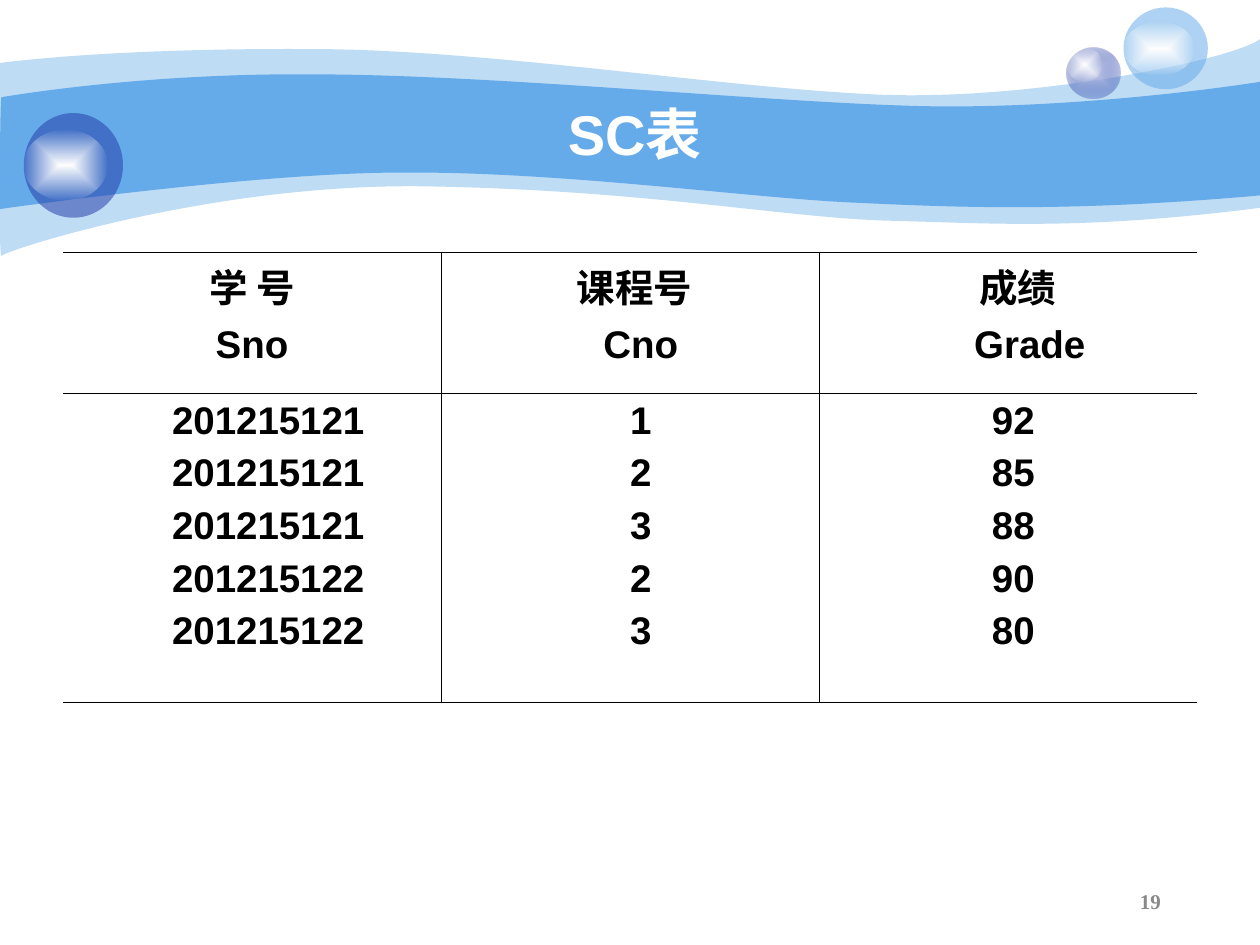
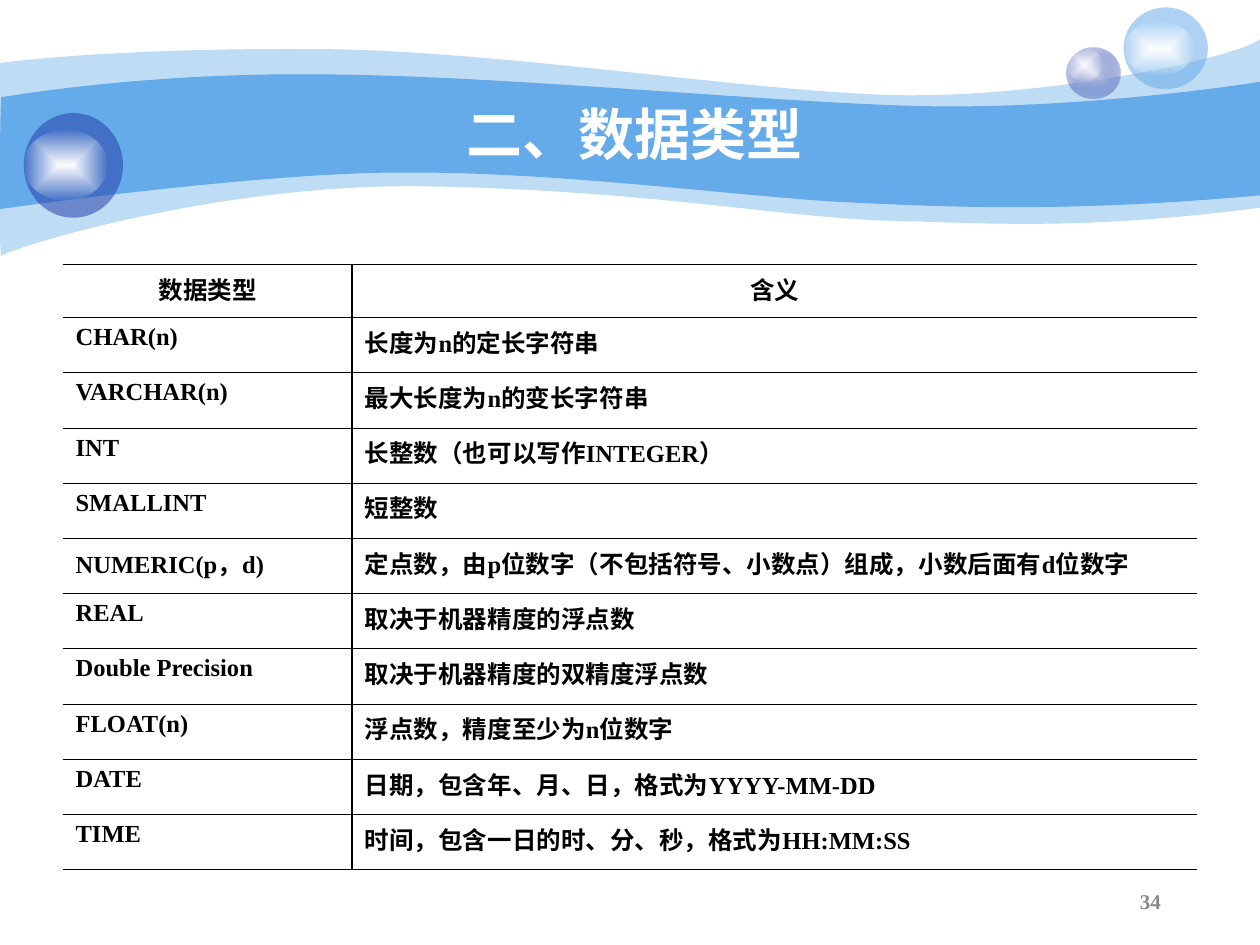
from lxml import etree
from pptx import Presentation
from pptx.dml.color import RGBColor
from pptx.enum.shapes import MSO_SHAPE
from pptx.enum.text import MSO_ANCHOR, PP_ALIGN
from pptx.oxml.ns import qn
from pptx.util import Cm, Pt

OVAL = MSO_SHAPE.OVAL
MIDDLE = MSO_ANCHOR.MIDDLE
LEFT, CENTER, RIGHT = PP_ALIGN.LEFT, PP_ALIGN.CENTER, PP_ALIGN.RIGHT

SKY = RGBColor(0x65, 0xAA, 0xE9)
NAVY = RGBColor(0x23, 0x3D, 0xA9)
LAVENDER = RGBColor(0xC7, 0xCE, 0xE9)
WHITE = RGBColor(0xFF, 0xFF, 0xFF)
BLACK = RGBColor(0x00, 0x00, 0x00)
GREY = RGBColor(0x89, 0x89, 0x89)

SANS, SERIF = "Arial", "Times New Roman"
SLIDE_WIDTH, SLIDE_HEIGHT = Cm(25.4), Cm(19.05)
TITLE_BOX = (Cm(2.54), Cm(1.9), Cm(20.52), Cm(1.57))
NUMBER_BOX = (Cm(17.93), Cm(17.65), Cm(5.72), Cm(1.02))
THIN, THICK = Pt(0.45), Pt(1.08)
SHIFT = Cm(0.22)

PALE_WAVE = [
    (0, 1.27),
    (0.61, 1.19, 2.72, 0.97, 6.27, 0.99),
    (9.8, 0.99, 14.61, 1.78, 17.75, 1.91),
    (20.88, 2.03, 24.89, 1.19, 25.4, 0.79),
    (25.4, 4.19),
    (21.79, 4.65, 19.99, 4.5, 17.91, 4.45),
    (15.8, 4.39, 13.08, 3.84, 8.71, 3.76),
    (4.37, 3.66, 0.1, 5.05, 0.03, 5.16),
    (-0.03, 5.28, 0, 1.91, 0, 1.27),
]
DEEP_WAVE = [
    (0.03, 1.96),
    (0.05, 1.96, 2.79, 1.47, 6.3, 1.5),
    (9.8, 1.5, 15.11, 2.03, 18.24, 2.13),
    (21.36, 2.24, 24.79, 1.75, 25.4, 1.65),
    (25.4, 3.94),
    (21.67, 4.27, 19.43, 4.19, 17.32, 4.09),
    (15.21, 4.01, 11.35, 3.45, 8.05, 3.48),
    (5.16, 3.48, -0.05, 4.22, -0.03, 4.22),
    (0, 4.22, 0, 1.96, 0.03, 1.96),
]

GRADE_HEADS = [
    [("学 号", 0), ("Sno", 0)],
    [(" 课程号", 0), (" Cno", 1)],
    [(" 成绩", 1), (" Grade", 3)],
]
GRADES = [
    ("201215121", "1", "92"),
    ("201215121", "2", "85"),
    ("201215121", "3", "88"),
    ("201215122", "2", "90"),
    ("201215122", "3", "80"),
]
GRADE_SHIFTS = (2, 1, 0)

DATA_TYPES = [
    ("数据类型", "含义"),
    ("CHAR(n)", "长度为n的定长字符串"),
    ("VARCHAR(n)", "最大长度为n的变长字符串"),
    ("INT", "长整数（也可以写作INTEGER）"),
    ("SMALLINT", "短整数"),
    ("NUMERIC(p，d)", "定点数，由p位数字（不包括符号、小数点）组成，小数后面有d位数字"),
    ("REAL", "取决于机器精度的浮点数"),
    ("Double Precision", "取决于机器精度的双精度浮点数"),
    ("FLOAT(n)", "浮点数，精度至少为n位数字"),
    ("DATE", "日期，包含年、月、日，格式为YYYY-MM-DD"),
    ("TIME", "时间，包含一日的时、分、秒，格式为HH:MM:SS"),
]


def add_color(parent, color, opacity=100):
    tint = etree.SubElement(parent, qn("a:srgbClr"), val=str(color))
    if opacity < 100:
        etree.SubElement(tint, qn("a:alpha"), val=str(opacity * 1000))


def strip_style(shape):
    shape.shadow.inherit = False
    shape.line.fill.background()


def fill_flat(shape, color, opacity=100):
    strip_style(shape)
    shape.fill.solid()
    solid = shape.fill._xPr.find(qn("a:solidFill"))
    for child in list(solid):
        solid.remove(child)
    add_color(solid, color, opacity)


def fill_glow(shape, inner, outer, outer_opacity):
    strip_style(shape)
    shape.fill.gradient()
    glow = shape.fill._xPr.find(qn("a:gradFill"))
    for child in list(glow):
        glow.remove(child)
    stops = etree.SubElement(glow, qn("a:gsLst"))
    for position, color, opacity in ((0, inner, 100), (100000, outer, outer_opacity)):
        stop = etree.SubElement(stops, qn("a:gs"), pos=str(position))
        add_color(stop, color, opacity)
    spread = etree.SubElement(glow, qn("a:path"), path="rect")
    etree.SubElement(spread, qn("a:fillToRect"), l="50000", t="50000", r="50000", b="50000")


def bend(wave, segments):
    steps = iter(list(wave._element.iter(qn("a:lnTo"))))
    for segment in segments[1:]:
        first = next(steps)
        if len(segment) == 2:
            continue
        curve = etree.Element(qn("a:cubicBezTo"))
        first.addprevious(curve)
        for step in (first, next(steps), next(steps)):
            curve.append(step[0])
            step.getparent().remove(step)


def add_wave(slide, left, top, segments, opacity):
    points = [(left + Cm(segment[i]), top + Cm(segment[i + 1]))
              for segment in segments for i in range(0, len(segment), 2)]
    builder = slide.shapes.build_freeform(*points[0])
    builder.add_line_segments(points[1:], close=True)
    wave = builder.convert_to_shape()
    bend(wave, segments)
    fill_flat(wave, SKY, opacity)


def add_bubble(slide, left, top, size, shine_drop, shine_size):
    parts = slide.shapes.add_group_shape().shapes
    bubble = parts.add_shape(OVAL, left, top, *size)
    shine = parts.add_shape(OVAL, left, top + shine_drop, *shine_size)
    fill_glow(shine, WHITE, WHITE, 0)
    return bubble


def add_banner(slide, left, top):
    add_wave(slide, left, top, PALE_WAVE, 41)
    add_wave(slide, left, top, DEEP_WAVE, 100)
    small = add_bubble(slide, left + Cm(21.51), top + Cm(0.96),
                       (Cm(1.07), Cm(1.02)), 0, (Cm(0.71), Cm(0.69)))
    fill_glow(small, LAVENDER, NAVY, 31)
    pale = add_bubble(slide, left + Cm(22.65), top + Cm(0.15),
                      (Cm(1.7), Cm(1.65)), Cm(0.28), (Cm(1.42), Cm(1.09)))
    fill_flat(pale, SKY, 53)
    dark = add_bubble(slide, left + Cm(0.48), top + Cm(2.28),
                      (Cm(2), Cm(2.11)), Cm(0.34), (Cm(1.68), Cm(1.42)))
    fill_flat(dark, NAVY, 53)


def write(paragraph, text, font_name, size, color, align):
    paragraph.alignment = align
    run = paragraph.add_run()
    run.text = text
    run.font.name = font_name
    run.font.size = Pt(size)
    run.font.bold = True
    run.font.color.rgb = color


def add_label(slide, box, text, font_name, size, color, align):
    frame = slide.shapes.add_textbox(*box).text_frame
    frame.word_wrap = True
    frame.vertical_anchor = MIDDLE
    write(frame.paragraphs[0], text, font_name, size, color, align)


def set_indent(paragraph, margin, first_line=0):
    properties = paragraph._p.get_or_add_pPr()
    properties.set("marL", str(margin))
    properties.set("indent", str(first_line))


def rule_cell(cell, sides):
    properties = cell._tc.get_or_add_tcPr()
    for side, width in zip("LRTB", sides):
        line = etree.SubElement(properties, qn(f"a:ln{side}"), w=str(width))
        if width:
            add_color(etree.SubElement(line, qn("a:solidFill")), BLACK)
        else:
            etree.SubElement(line, qn("a:noFill"))
    cell.fill.background()


def add_ruled_table(slide, left, top, widths, heights, divider):
    table = slide.shapes.add_table(len(heights), len(widths), left, top,
                                   sum(widths), sum(heights)).table
    table.first_row = False
    table.horz_banding = False
    for column, width in zip(table.columns, widths):
        column.width = width
    for row, height in zip(table.rows, heights):
        row.height = height
        for i, cell in enumerate(row.cells):
            before = divider if i else 0
            after = divider if i < len(widths) - 1 else 0
            rule_cell(cell, (before, after, THIN, THIN))
    return table


def write_stack(cell, entries):
    frame = cell.text_frame
    for i, (text, shifts) in enumerate(entries):
        paragraph = frame.add_paragraph() if i else frame.paragraphs[0]
        if i:
            paragraph.space_before = Pt(5.5)
        set_indent(paragraph, shifts * SHIFT)
        write(paragraph, text, SANS, 22, BLACK, CENTER)


def add_grade_table(slide, left, top):
    table = add_ruled_table(slide, left, top, [Cm(7.62)] * 3, [Cm(2.84), Cm(6.24)], THIN)
    for i, (head, values, shifts) in enumerate(zip(GRADE_HEADS, zip(*GRADES), GRADE_SHIFTS)):
        write_stack(table.cell(0, i), head)
        write_stack(table.cell(1, i), [(f" {value}", shifts) for value in values])


def add_type_table(slide, left, top):
    entries = len(DATA_TYPES) - 1
    heights = [Cm(1.07)] + [Cm(11.13) // entries] * entries
    table = add_ruled_table(slide, left, top, [Cm(5.83), Cm(17.03)], heights, THICK)
    for r, entry in enumerate(DATA_TYPES):
        for c, text in enumerate(entry):
            paragraph = table.cell(r, c).text_frame.paragraphs[0]
            set_indent(paragraph, Cm(0.97), Cm(-0.97))
            write(paragraph, text, SERIF, 14, BLACK, LEFT if r else CENTER)


def add_page(deck, title, number):
    slide = deck.slides.add_slide(deck.slide_layouts[6])
    add_banner(slide, 0, 0)
    add_label(slide, TITLE_BOX, title, SANS, 32, WHITE, CENTER)
    add_label(slide, NUMBER_BOX, number, SERIF, 12, GREY, RIGHT)
    return slide


def main():
    deck = Presentation()
    deck.slide_width, deck.slide_height = SLIDE_WIDTH, SLIDE_HEIGHT
    add_grade_table(add_page(deck, "SC表", "19"), Cm(1.27), Cm(5.08))
    add_type_table(add_page(deck, "二、数据类型", "34"), Cm(1.27), Cm(5.33))
    deck.save("out.pptx")


if __name__ == "__main__":
    main()
